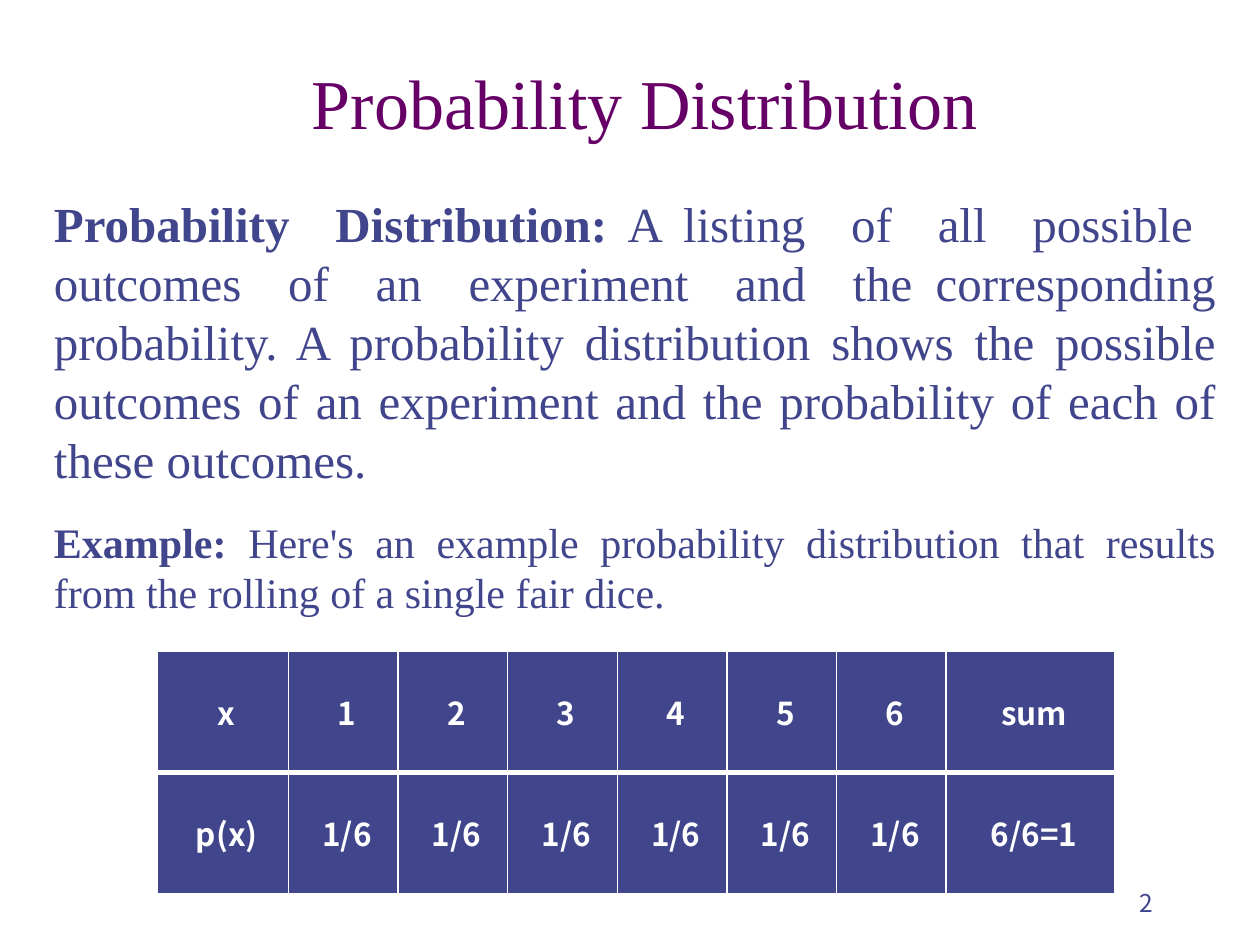
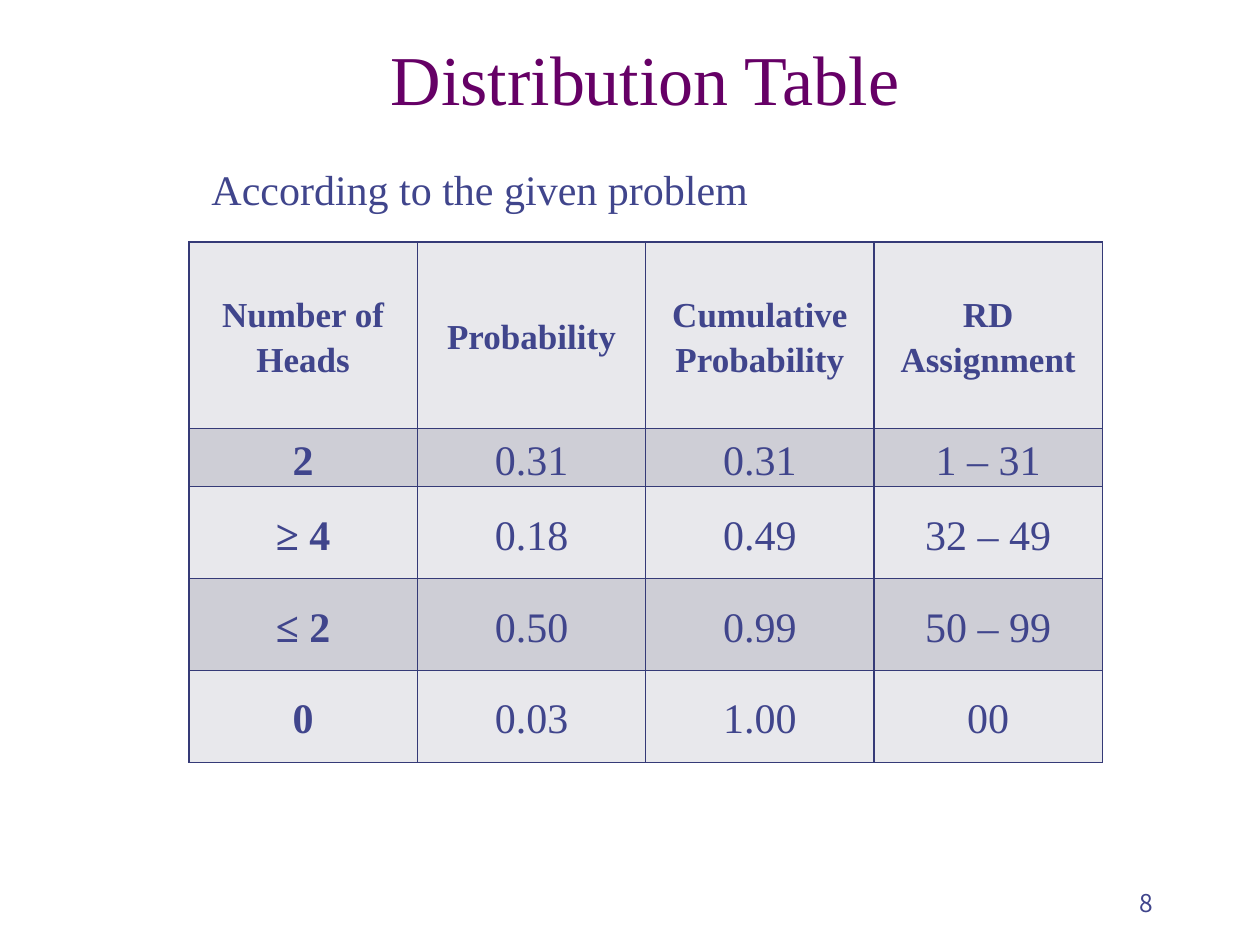
from lxml import etree
from pptx import Presentation
from pptx.dml.color import RGBColor
from pptx.enum.text import MSO_ANCHOR, PP_ALIGN
from pptx.oxml.ns import qn
from pptx.util import Inches, Pt

INDIGO, PURPLE, WHITE = "40458C", "660066", "FFFFFF"
GRID, LIGHT_BAND, DARK_BAND = "353A77", "E8E8EC", "CECED6"
SERIF, SANS = "Times New Roman", "Noto Sans CJK KR"


def write(text, frame=None, slide=None, box=None, size=24, font=SERIF, color=INDIGO,
          bold=False, align=PP_ALIGN.LEFT, anchor=MSO_ANCHOR.TOP, before=0,
          spacing=None, indent=0, lead=""):
    """Add a paragraph to a frame, or to a new text box; lead is a bold opening."""
    if frame is None:
        frame = slide.shapes.add_textbox(*[Inches(length) for length in box]).text_frame
    frame.word_wrap = True
    frame.vertical_anchor = anchor
    paragraph = frame.paragraphs[0]
    if paragraph.runs:
        paragraph = frame.add_paragraph()
    paragraph.alignment = align
    paragraph.space_before = Pt(before)
    if spacing:
        paragraph.line_spacing = spacing
    if indent:
        paragraph._p.get_or_add_pPr().set("marL", str(Inches(indent)))
    for content, weight in ((lead, True), (text, bold)):
        if content:
            run = paragraph.add_run()
            run.text = content
            run.font.name, run.font.size, run.font.bold = font, Pt(size), weight
            run.font.color.rgb = RGBColor.from_string(color)
    return frame


def style_cell(cell, fill, line, widths, side_margin=0):
    """Set margins, borders (left, right, top, bottom widths in points) and fill."""
    cell.margin_left = cell.margin_right = Inches(side_margin)
    cell.margin_top = cell.margin_bottom = 0
    cell.vertical_anchor = MSO_ANCHOR.MIDDLE
    properties = cell._tc.get_or_add_tcPr()
    for side, width in zip(("lnL", "lnR", "lnT", "lnB"), widths):
        border = etree.SubElement(properties, qn(f"a:{side}"), w=str(Pt(width)))
        solid = etree.SubElement(border, qn("a:solidFill"))
        etree.SubElement(solid, qn("a:srgbClr"), val=line)
    cell.fill.solid()
    cell.fill.fore_color.rgb = RGBColor.from_string(fill)


presentation = Presentation()
presentation.slide_width, presentation.slide_height = Inches(10), Inches(7.5)

# Title and page number on both slides
slides = []
for title, title_top, number in (("Probability Distribution", 0.52, "2"),
                                 ("Distribution Table", 0.33, "8")):
    slide = presentation.slides.add_slide(presentation.slide_layouts[6])
    write(title, slide=slide, box=(1.33, title_top, 7.58, 0.67), size=40, color=PURPLE,
          align=PP_ALIGN.CENTER, anchor=MSO_ANCHOR.BOTTOM)
    write(number, slide=slide, box=(7.17, 6.83, 2.08, 0.5), size=14, font=SANS,
          align=PP_ALIGN.RIGHT, anchor=MSO_ANCHOR.BOTTOM)
    slides.append(slide)
definition_slide, table_slide = slides

# Definition and example
body = write(" A listing  of  all  possible  outcomes  of  an  experiment  and  the "
             "corresponding probability. A probability distribution shows the possible "
             "outcomes of an experiment and the probability of each of these outcomes.",
             lead="Probability  Distribution:", slide=definition_slide,
             box=(-0.17, 1.49, 9.92, 3.5), size=28, align=PP_ALIGN.JUSTIFY, indent=0.5)
write("Here's an example probability distribution that results from the rolling of a "
      "single fair dice.", lead="Example: ", frame=body, align=PP_ALIGN.JUSTIFY,
      before=16, indent=0.5)

# Dice probabilities
dice_rows = [["x", *"123456", "sum"], ["p(x)", *["1/6"] * 6, "6/6=1"]]
dice_table = definition_slide.shapes.add_table(
    2, 8, Inches(1.25), Inches(5.17), Inches(7.58), Inches(1.92)).table
for column, width in zip(dice_table.columns, [1.04, *[0.87] * 6, 1.34]):
    column.width = Inches(width)
for row_index, values in enumerate(dice_rows):
    widths = (1, 1, 1, 3) if row_index == 0 else (1, 1, 3, 1)
    for column_index, value in enumerate(values):
        cell = dice_table.cell(row_index, column_index)
        write(value, frame=cell.text_frame, size=18, font=SANS, color=WHITE, bold=True,
              align=PP_ALIGN.CENTER, before=3.2, indent=0.06)
        style_cell(cell, INDIGO, WHITE, widths)

# Random digit assignment
write("According to the given problem", slide=table_slide, box=(1.58, 1.25, 6.25, 0.5))
heads_rows = [
    ["Number of Heads", "Probability", "Cumulative Probability", "RD Assignment"],
    ["2", "0.31", "0.31", "1 – 31"],
    ["≥ 4", "0.18", "0.49", "32 – 49"],
    ["≤ 2", "0.50", "0.99", "50 – 99"],
    ["0", "0.03", "1.00", "00"],
]
heads_table = table_slide.shapes.add_table(
    5, 4, Inches(1.5), Inches(1.92), Inches(7.25), Inches(4.1)).table
for row, height in zip(heads_table.rows, [1.48, 0.43, 0.73, 0.73, 0.73]):
    row.height = Inches(height)
for row_index, values in enumerate(heads_rows):
    for column_index, value in enumerate(values):
        cell = heads_table.cell(row_index, column_index)
        write(value, frame=cell.text_frame, size=24 if row_index else 20,
              bold=row_index == 0 or column_index == 0,
              align=PP_ALIGN.CENTER, spacing=1.15)
        style_cell(cell, DARK_BAND if row_index % 2 else LIGHT_BAND, GRID,
                   (1, 1, 1, 1), side_margin=0.07)

presentation.save("out.pptx")
